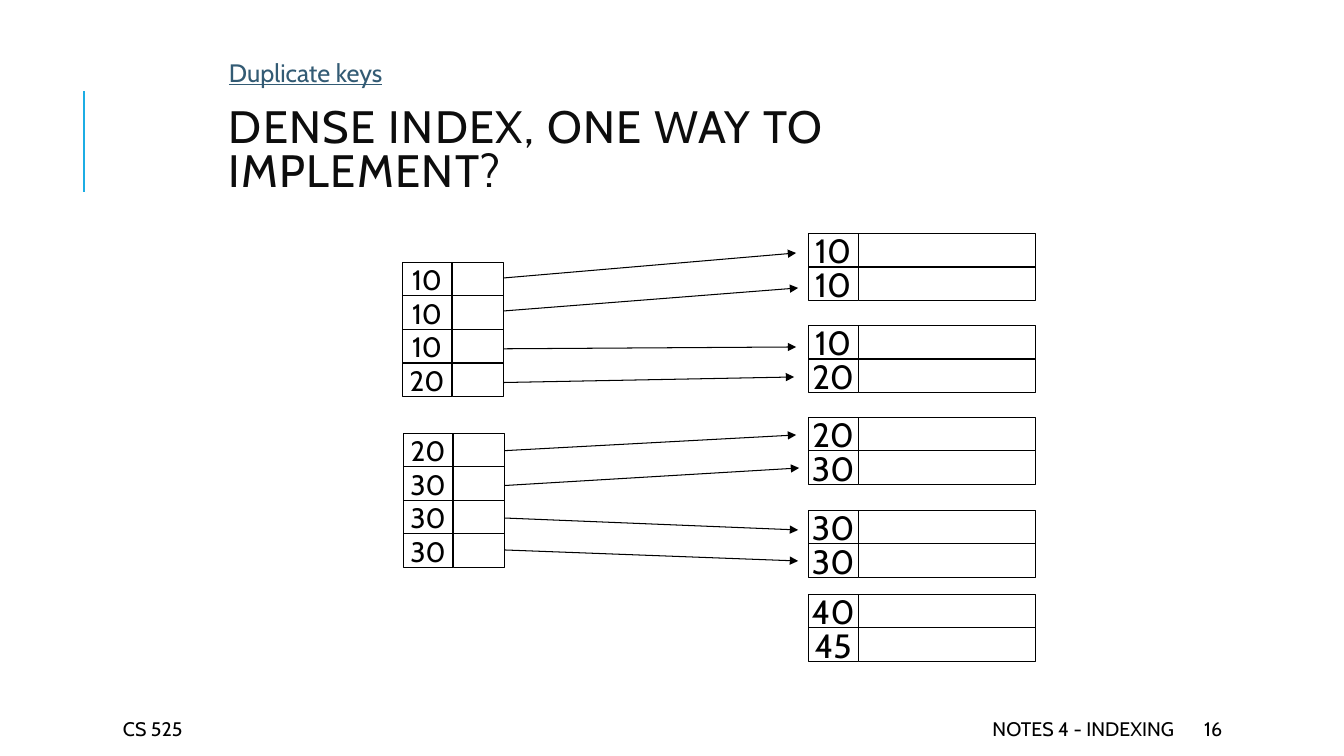
import pptx
import pptx.util
import pptx.dml.color
import pptx.enum.shapes
import pptx.enum.text
import pptx.oxml
import pptx.oxml.ns

PX = 9071
FONT = "Cabin"
COLORS = {"ink": "000000", "title": "0D0D0D", "topic": "335B74", "accent": "1CADE4", "cell": "FFFFFF"}
ALIGN = pptx.enum.text.PP_ALIGN


def write_text(shape, text, size, color="ink", align=ALIGN.LEFT, wrap=True,
               underline=False, line_spacing=None, tracking=None):
    frame = shape.text_frame
    frame.word_wrap = wrap
    frame.vertical_anchor = pptx.enum.text.MSO_ANCHOR.MIDDLE
    paragraph = frame.paragraphs[0]
    paragraph.alignment = align
    paragraph.line_spacing = line_spacing
    run = paragraph.add_run()
    run.text = text
    run.font.name = FONT
    run.font.size = pptx.util.Pt(size)
    run.font.underline = underline
    run.font.color.rgb = pptx.dml.color.RGBColor.from_string(COLORS[color])
    if tracking:
        run.font._element.set("spc", str(tracking))


def add_line(start, end, color, width, arrow=False):
    connector = slide.shapes.add_connector(
        pptx.enum.shapes.MSO_CONNECTOR.STRAIGHT, *(value * PX for value in start + end))
    connector.line.color.rgb = pptx.dml.color.RGBColor.from_string(COLORS[color])
    connector.line.width = pptx.util.Pt(width)
    if arrow:
        tail = pptx.oxml.parse_xml(f'<a:tailEnd {pptx.oxml.ns.nsdecls("a")} type="triangle"/>')
        connector.line._get_or_add_ln().append(tail)
    effects = pptx.oxml.parse_xml(f'<a:effectLst {pptx.oxml.ns.nsdecls("a")}/>')
    connector._element.spPr.append(effects)


presentation = pptx.Presentation()
presentation.slide_width = pptx.util.Inches(13.33)
presentation.slide_height = pptx.util.Inches(7.5)
slide = presentation.slides.add_slide(presentation.slide_layouts[6])

add_line((84, 192), (84, 91), "accent", 1.5)

texts = [
    ((113, 714, 238, 30), "CS 525", {"size": 14}),
    ((534, 714, 650, 30), "NOTES 4 - INDEXING", {"size": 14, "align": ALIGN.RIGHT}),
    ((1194, 714, 107, 30), "16", {"size": 14}),
    ((219, 101, 874, 103), "DENSE INDEX, ONE WAY TO IMPLEMENT?",
     {"size": 32.4, "color": "title", "line_spacing": 0.8, "tracking": 100}),
    ((219, 33, 370, 78), "Duplicate keys", {"size": 18, "color": "topic", "underline": True}),
]
for bounds, text, text_format in texts:
    box = slide.shapes.add_textbox(*(value * PX for value in bounds))
    write_text(box, text, **text_format)

pointers = [
    ((480, 280), (796, 253)),
    ((478, 313), (798, 288)),
    ((478, 349), (796, 347)),
    ((480, 383), (794, 377)),
    ((480, 452), (796, 435)),
    ((480, 487), (799, 468)),
    ((478, 517), (798, 530)),
    ((478, 549), (798, 561)),
]
for start, end in pointers:
    add_line(start, end, "ink", 0.75, arrow=True)

KEY_WIDTH = 50
TWO_ROWS = 67
INDEX_WIDTH, RECORD_WIDTH = 51, 177
blocks = [
    (808, 234, RECORD_WIDTH, 24, ["10", "10"]),
    (808, 326, RECORD_WIDTH, 24, ["10", "20"]),
    (808, 418, RECORD_WIDTH, 24, ["20", "30"]),
    (808, 511, RECORD_WIDTH, 24, ["30", "30"]),
    (808, 595, RECORD_WIDTH, 24, ["40", "45"]),
    (402, 263, INDEX_WIDTH, 20, ["10", "10", "10", "20"]),
    (403, 434, INDEX_WIDTH, 20, ["20", "30", "30", "30"]),
]
for left, top, value_width, size, keys in blocks:
    for row, key in enumerate(keys):
        row_top = top + row * TWO_ROWS // 2
        row_height = top + (row + 1) * TWO_ROWS // 2 - row_top
        for cell_left, width, text in ((left, KEY_WIDTH, key), (left + KEY_WIDTH, value_width, "")):
            cell = slide.shapes.add_shape(
                pptx.enum.shapes.MSO_SHAPE.RECTANGLE,
                cell_left * PX, row_top * PX, width * PX, row_height * PX)
            cell.shadow.inherit = False
            cell.fill.solid()
            cell.fill.fore_color.rgb = pptx.dml.color.RGBColor.from_string(COLORS["cell"])
            cell.line.color.rgb = pptx.dml.color.RGBColor.from_string(COLORS["ink"])
            cell.line.width = pptx.util.Pt(0.75)
            if text:
                write_text(cell, text, size, align=ALIGN.CENTER, wrap=False)

presentation.save("out.pptx")
